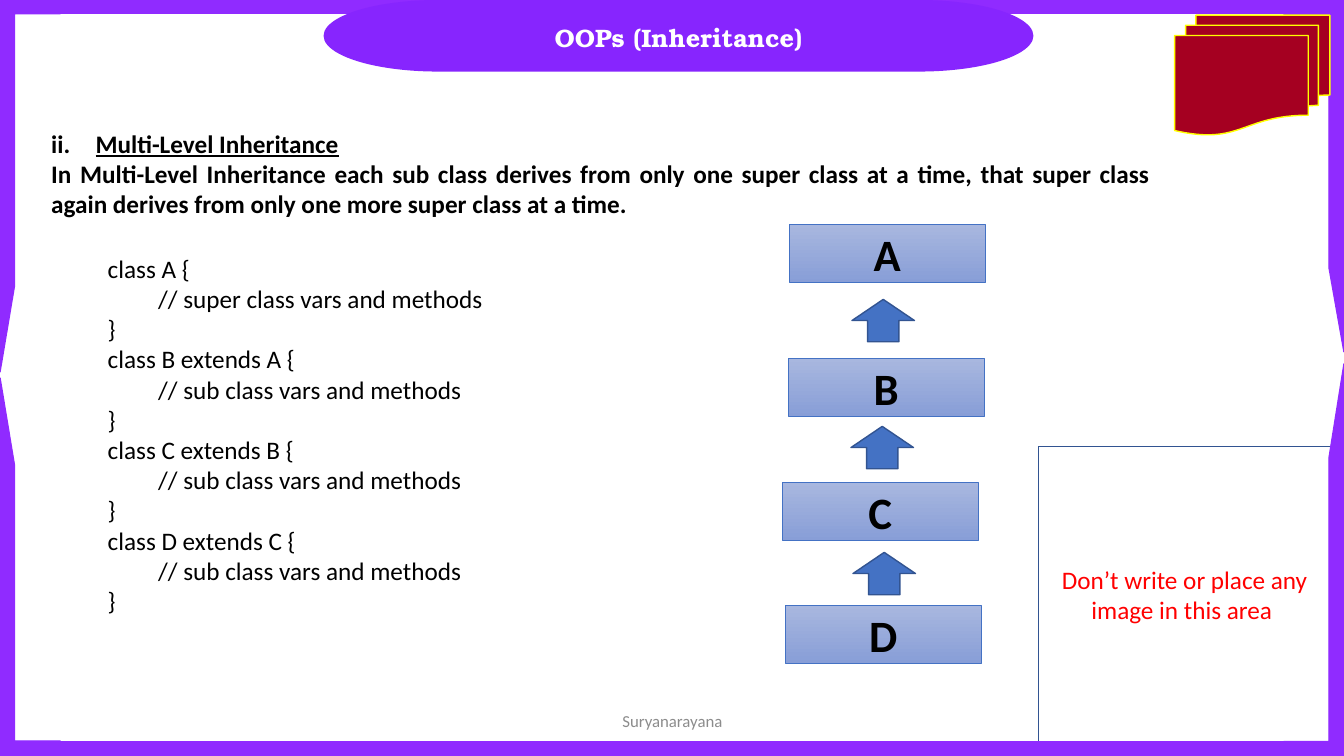
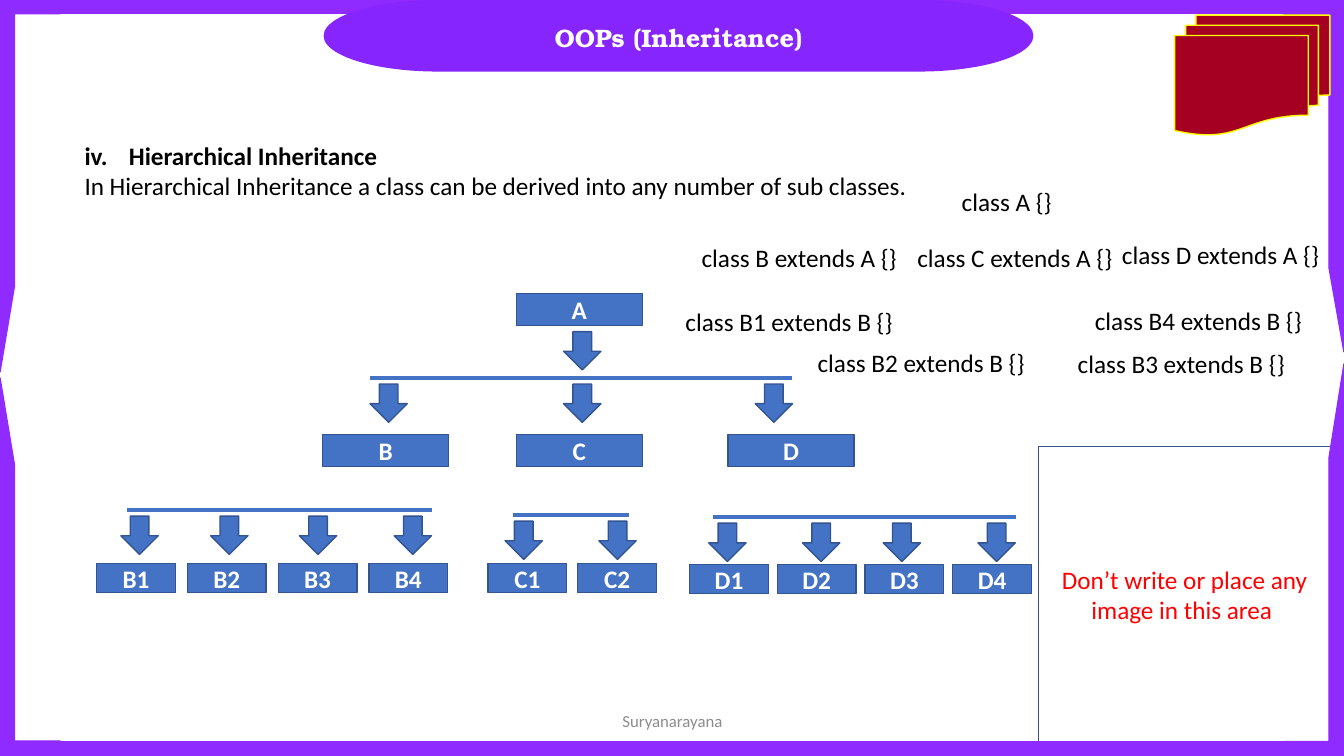
from pptx import Presentation
from pptx.dml.color import RGBColor
from pptx.enum.shapes import MSO_CONNECTOR, MSO_SHAPE as SHAPE
from pptx.enum.text import MSO_ANCHOR as ANCHOR, PP_ALIGN as ALIGN
from pptx.oxml.ns import qn
from pptx.util import Inches, Pt
from lxml import etree

COLORS = {
    "frame": "902BFF", "band": "8725FE", "white": "FFFFFF", "black": "000000",
    "maroon": "A50021", "yellow": "FFFF00", "red": "FF0000", "gray": "8C8C8C",
    "blue": "4472C4", "navy": "325491", "grad_top": "A8B7DF", "grad_end": "889ED7",
}
BODY = "Calibri"
TITLE = "TeX Gyre Bonum"
SLIDE_W, SLIDE_H = 13.33, 7.5
EDGE = 0.14
SIDE_W = 0.62


def rgb(name):
    return RGBColor.from_string(COLORS[name])


def style(p, size=18, color="black", bold=False, font=BODY, align=None):
    p.alignment = align
    for r in p.runs:
        r.font.name = font
        r.font.size = Pt(size)
        r.font.bold = bold
        r.font.color.rgb = rgb(color)


def add_shape(s, kind, box, fill=None, line=None, width=1):
    sp = s.shapes.add_shape(kind, *map(Inches, box))
    sp.shadow.inherit = False
    if fill:
        sp.fill.solid()
        sp.fill.fore_color.rgb = rgb(fill)
    if line:
        sp.line.color.rgb = rgb(line)
        sp.line.width = Pt(width)
    else:
        sp.line.fill.background()
    return sp


def set_label(sp, text, **look):
    tf = sp.text_frame
    tf.word_wrap = True
    tf.vertical_anchor = ANCHOR.MIDDLE
    tf.text = text
    style(tf.paragraphs[0], align=ALIGN.CENTER, **look)


def add_text(s, box, lines, wrap=True, **look):
    tf = s.shapes.add_textbox(*map(Inches, box)).text_frame
    tf.word_wrap = wrap
    tf.text = "\n".join(lines)
    for p in tf.paragraphs:
        style(p, **look)
    return tf


def add_bar(s, x, y, width):
    line = s.shapes.add_connector(
        MSO_CONNECTOR.STRAIGHT, Inches(x), Inches(y), Inches(x + width), Inches(y))
    line.line.color.rgb = rgb("blue")
    line.line.width = Pt(3)
    etree.SubElement(line._element.spPr, qn("a:effectLst"))


def side_frame(s, box, adjustments, flip=False, rotation=0):
    sp = add_shape(s, SHAPE.HALF_FRAME, box, "frame", "frame")
    for i, value in enumerate(adjustments):
        sp.adjustments[i] = value
    sp.rotation = rotation
    if flip:
        sp._element.spPr.find(qn("a:xfrm")).set("flipH", "1")


def edge_band(s, y):
    add_shape(s, SHAPE.RECTANGLE, (0, y, SLIDE_W, EDGE), "frame", "frame")


def title_band(s, box, title):
    x, y, w, h = box
    add_shape(s, SHAPE.FLOWCHART_TERMINATOR, box, "band")
    add_text(s, (x + 0.11, y + 0.17, w - 0.22, 0.4), [title],
             color="white", bold=True, font=TITLE, align=ALIGN.CENTER)


def base_slide(prs):
    s = prs.slides.add_slide(prs.slide_layouts[6])
    right = SLIDE_W - SIDE_W
    side_frame(s, (0, 0, SIDE_W, 3.69), (0.22, 0.23))
    side_frame(s, (right, 0, SIDE_W, 3.49), (0.23, 0.24), flip=True)
    side_frame(s, (0, 3.75, SIDE_W, 3.75), (0.24, 0.23), flip=True, rotation=180)
    edge_band(s, -0.01)
    title_band(s, (3.21, 0, 7.04, 0.71), "OOPs (Inheritance)")
    add_shape(s, SHAPE.FLOWCHART_MULTIDOCUMENT, (11.65, 0.15, 1.54, 1.19),
              "maroon", "yellow")
    notice = add_shape(s, SHAPE.RECTANGLE, (10.3, 4.43, 2.9, 2.93), "white", "navy")
    set_label(notice, "Don’t write or place any image in this area ", color="red")
    side_frame(s, (right, 3.61, SIDE_W, 3.89), (0.23, 0.24), rotation=180)
    edge_band(s, SLIDE_H - EDGE)
    footer = s.shapes.add_textbox(*map(Inches, (4.42, 6.95, 4.5, 0.4)))
    set_label(footer, "Suryanarayana", size=12, color="gray")
    return s


def topic(s, box, number, heading, text, bold=False, underline=False, align=None):
    tf = add_text(s, box, [heading, text], bold=bold, align=align)
    p = tf.paragraphs[0]
    pPr = p._p.get_or_add_pPr()
    pPr.set("marL", str(Inches(0.44)))
    pPr.set("indent", str(-Inches(0.44)))
    etree.SubElement(pPr, qn("a:buFont"), typeface="+mj-lt")
    etree.SubElement(pPr, qn("a:buAutoNum"), type="romanLcPeriod", startAt=str(number))
    p.runs[0].font.bold = True
    p.runs[0].font.underline = underline


def class_code(s, box):
    lines = []
    for name, parent in zip("ABCD", " ABC"):
        head, role = (f"class {name} extends {parent} {{", "sub")
        if name == "A":
            head, role = "class A {", "super"
        lines += [head, f"\t// {role} class vars and methods", "}"]
    add_text(s, box, lines, wrap=False)


def class_chain(s, x, y):
    boxes = (("A", 0.07, 0), ("B", 0.06, 1.33), ("C", 0, 2.56), ("D", 0.03, 3.78))
    for name, dx, dy in boxes:
        sp = add_shape(s, SHAPE.RECTANGLE, (x + dx, y + dy, 1.94, 0.57),
                       line="blue", width=0.5)
        sp.fill.gradient()
        sp.fill.gradient_angle = 270
        for stop, color in zip(sp.fill.gradient_stops, ("grad_top", "grad_end")):
            stop.color.rgb = rgb(color)
        set_label(sp, name, size=32, bold=True)
    for dx, dy in ((0.69, 0.74), (0.68, 2), (0.7, 3.25)):
        add_shape(s, SHAPE.UP_ARROW, (x + dx, y + dy, 0.62, 0.42), "blue", "navy")


def class_node(s, name, box):
    sp = add_shape(s, SHAPE.RECTANGLE, box, "blue", "navy")
    set_label(sp, name, color="white", bold=True)


def down_arrow(s, x, y):
    add_shape(s, SHAPE.DOWN_ARROW, (x, y, 0.37, 0.38), "blue", "navy")


def branch(s, bar, names, arrows, nodes, drop, size):
    x, y, width = bar
    add_bar(s, x, y, width)
    for name, arrow_dx, node_dx in zip(names, arrows, nodes):
        down_arrow(s, x + arrow_dx, y + 0.06)
        class_node(s, name, (x + node_dx, y + drop, *size))


def class_tree(s, x, y):
    wide, small = (1.25, 0.32), (0.78, 0.29)
    class_node(s, "A", (x + 4.16, y, *wide))
    down_arrow(s, x + 4.63, y + 0.38)
    branch(s, (x + 2.71, y + 0.84, 4.19), "BCD",
           (0, 1.92, 3.82), (-0.47, 1.45, 3.55), 0.56, wide)
    groups = (
        ("B", 0.3, 2.15, 3.02, (-0.06, 0.83, 1.71, 2.65), -0.3, 0.9, 0.53),
        ("C", 4.13, 2.2, 1.15, (-0.08, 0.85), -0.25, 0.89, 0.48),
        ("D", 6.11, 2.22, 3.01, (-0.04, 0.89, 1.69, 2.63), -0.23, 0.87, 0.47),
    )
    for parent, dx, dy, width, arrows, first, step, drop in groups:
        names = [f"{parent}{i + 1}" for i in range(len(arrows))]
        nodes = [first + i * step for i in range(len(arrows))]
        branch(s, (x + dx, y + dy, width), names, arrows, nodes, drop, small)


def class_lines(s, x, y):
    labels = (
        ("A", "", 2.74, 0, 1.1),
        ("B", "A", 0.16, 0.55, 2.16), ("C", "A", 2.3, 0.56, 2.16),
        ("D", "A", 4.33, 0.53, 2.16),
        ("B1", "B", 0, 1.19, 2.29), ("B2", "B", 1.31, 1.6, 2.29),
        ("B3", "B", 3.89, 1.61, 2.29), ("B4", "B", 4.06, 1.18, 2.29),
    )
    for name, parent, dx, dy, width in labels:
        base = f" extends {parent}" if parent else ""
        add_text(s, (x + dx, y + dy, width, 0.4), [f"class {name}{base} {{}}"], wrap=False)


def multilevel_slide(prs):
    s = base_slide(prs)
    topic(s, (0.41, 1.22, 11.1, 1.01), 2, "Multi-Level Inheritance",
          "In Multi-Level Inheritance each sub class derives from only one super class "
          "at a time, that super class again derives from only one more super class "
          "at a time.", bold=True, underline=True, align=ALIGN.JUSTIFY)
    class_chain(s, 7.76, 2.23)
    class_code(s, (0.97, 2.46, 4.47, 3.74))


def hierarchical_slide(prs):
    s = base_slide(prs)
    topic(s, (0.74, 1.34, 9.4, 0.71), 4, "Hierarchical Inheritance",
          "In Hierarchical Inheritance a class can be derived into any number of "
          "sub classes.")
    class_tree(s, 0.96, 2.91)
    class_lines(s, 6.7, 1.8)


def main():
    prs = Presentation()
    prs.slide_width = Inches(SLIDE_W)
    prs.slide_height = Inches(SLIDE_H)
    multilevel_slide(prs)
    hierarchical_slide(prs)
    prs.save("out.pptx")


if __name__ == "__main__":
    main()
